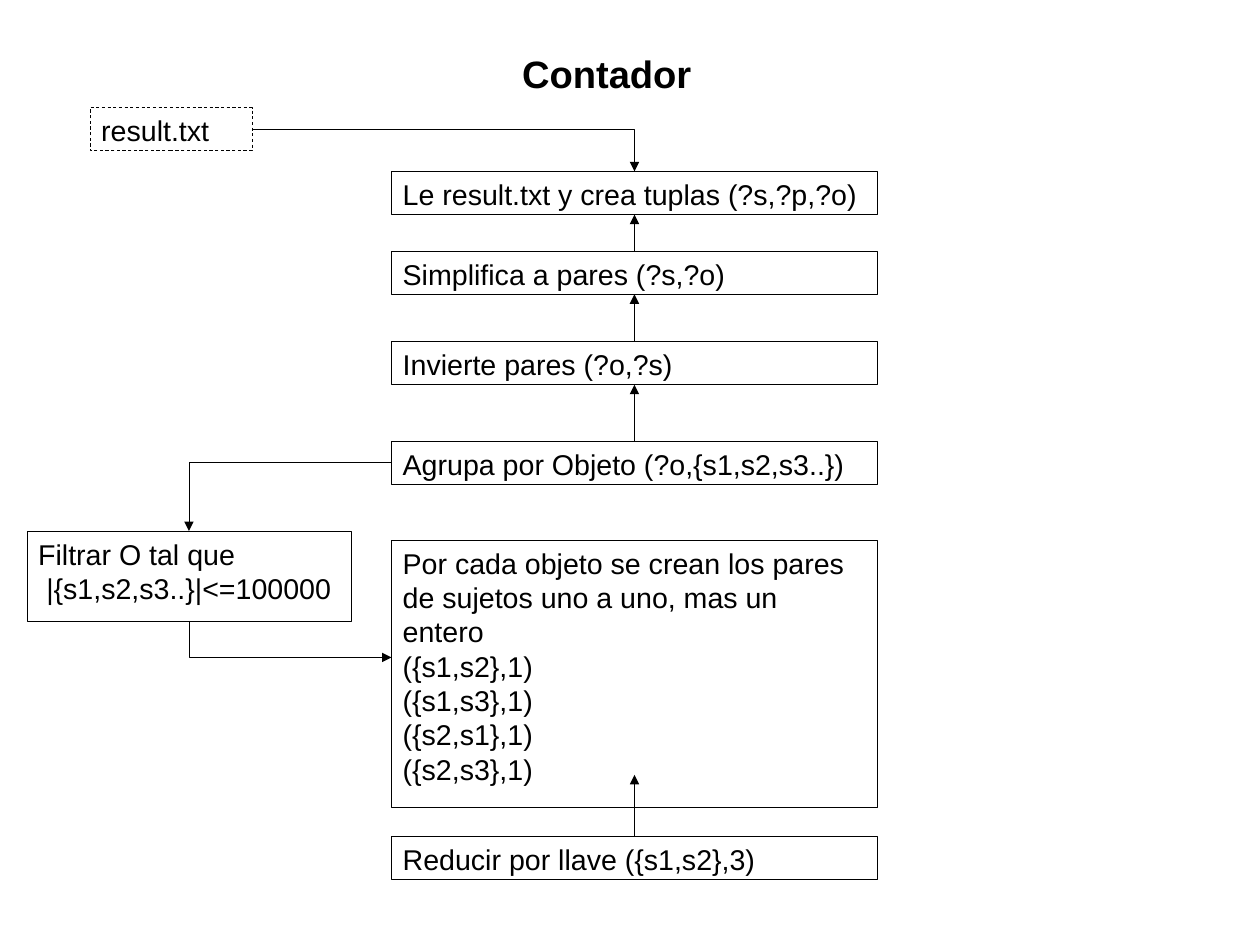
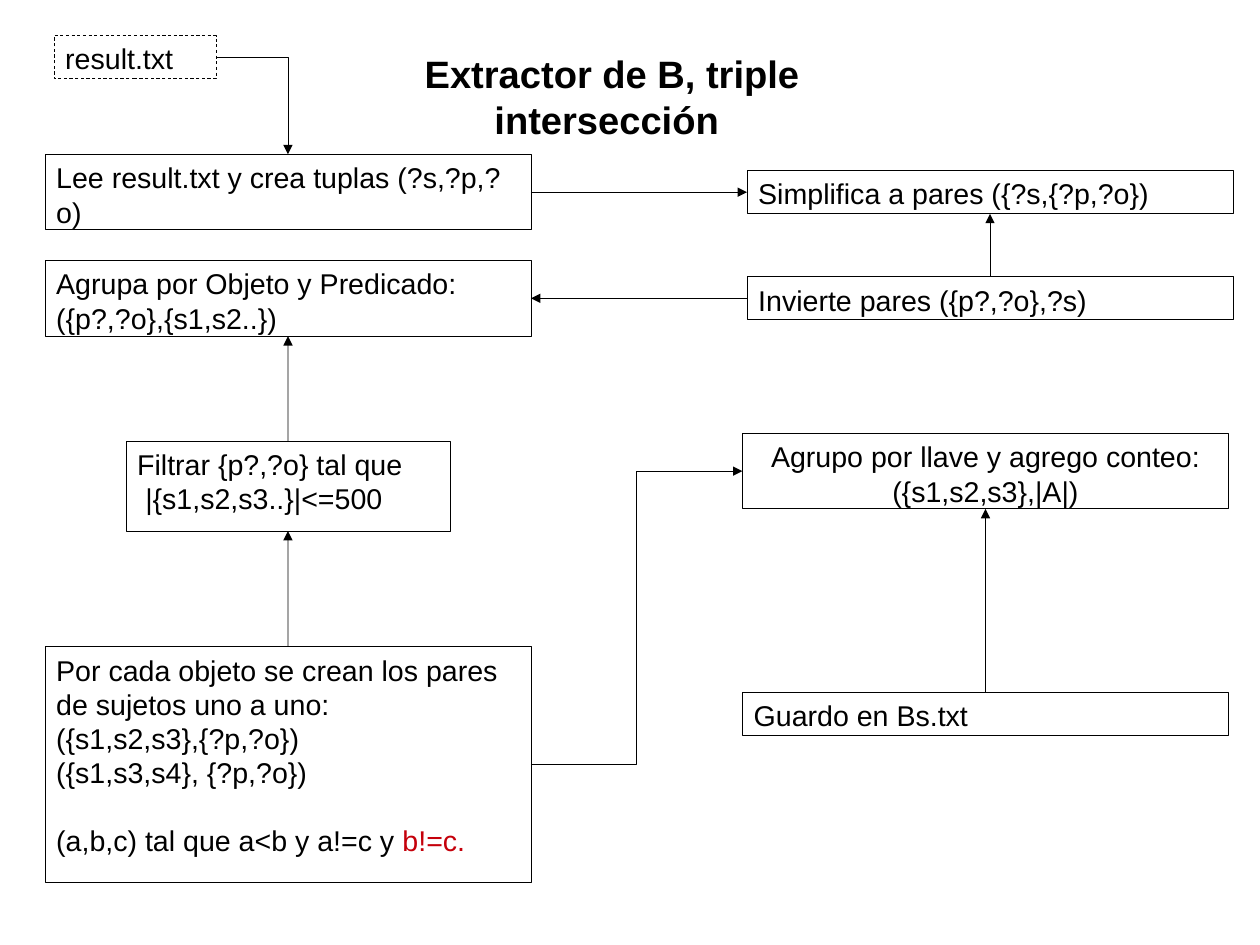
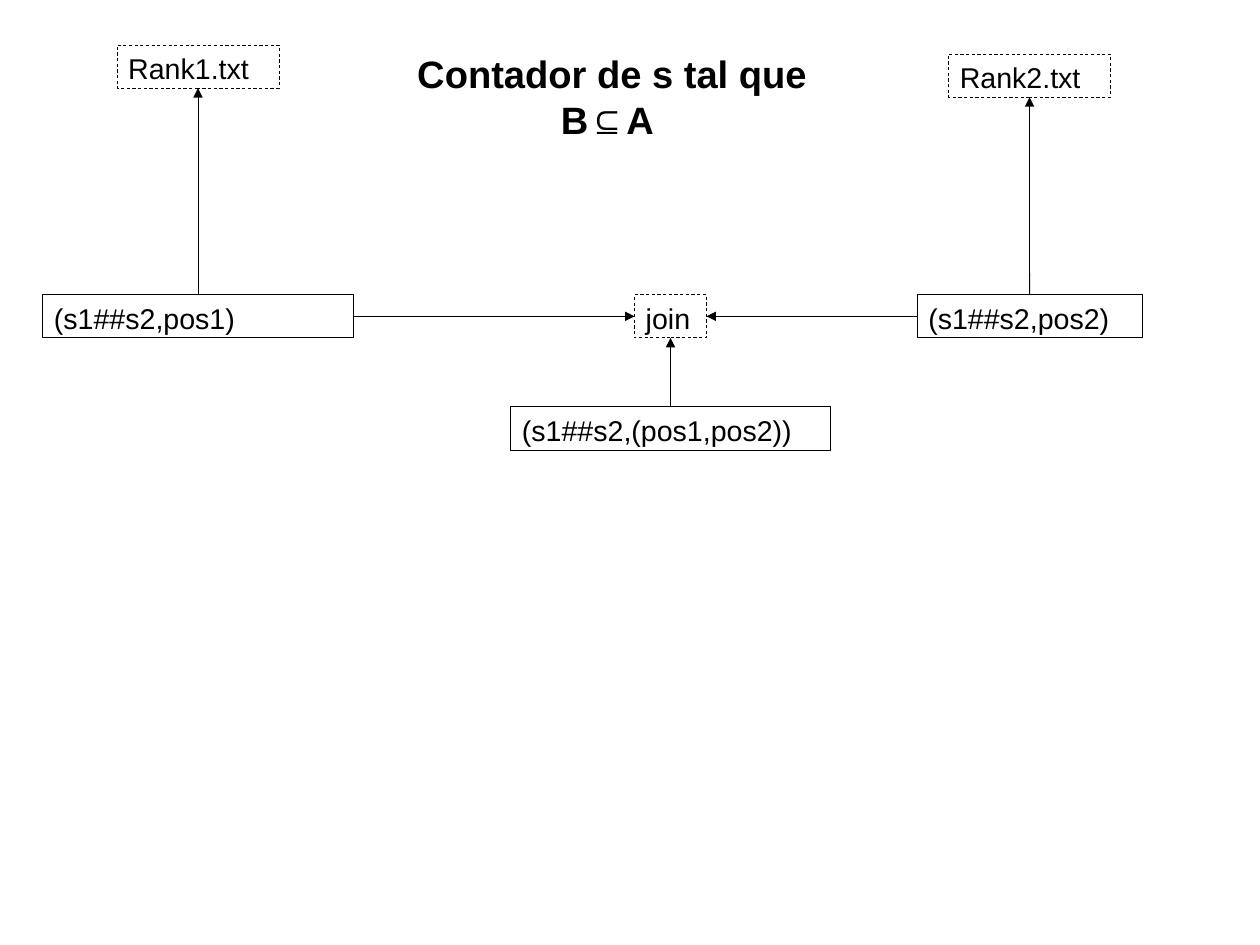
from lxml import etree
from pptx import Presentation
from pptx.dml.color import RGBColor
from pptx.enum import dml, shapes, text
from pptx.oxml import ns
from pptx.util import Cm, Pt

COLORS = {"ink": "000000", "red": "C5000B"}
FONT = "Arial"
TOP, LEFT, BOTTOM, RIGHT = range(4)
ONE, TWO = 0.96, 1.68          # heights of boxes with one and two lines, cm
WIDE, FILE, FILTER = 10.8, 3.6, 7.2  # box widths, cm
MID, COL_L, COL_R = 8.7, 1.0, 16.6   # column lefts, cm

# Boxes: name: (left, top, width, height, paragraphs), in cm.
# A paragraph is a list of (text, colour) runs, or a plain string.
# Arrows: (from, side, to, side) or, when the head is off-centre, its (x, y).
SLIDES = [
    {
        "title": "Contador ", "title_height": 1.2,
        "boxes": {
            "read": (MID, 3.81, WIDE, ONE, ["Le result.txt y crea tuplas (?s,?p,?o)"]),
            "simplify": (MID, 5.58, WIDE, ONE, ["Simplifica a pares (?s,?o)"]),
            "invert": (MID, 7.59, WIDE, ONE, ["Invierte pares (?o,?s)"]),
            "group": (MID, 9.8, WIDE, ONE, ["Agrupa por Objeto (?o,{s1,s2,s3..})"]),
            "pairs": (MID, 12.0, WIDE, 5.94, [
                "Por cada objeto se crean los pares de sujetos uno a uno, mas un entero",
                "({s1,s2},1)", "({s1,s3},1)", "({s2,s1},1)", "({s2,s3},1)"]),
            "reduce": (MID, 18.59, WIDE, ONE, ["Reducir por llave ({s1,s2},3)"]),
            "file": (2.0, 2.39, FILE, ONE, ["result.txt"]),
            "filter": (0.6, 11.8, FILTER, 2.0, ["Filtrar O tal que", "|{s1,s2,s3..}|<=100000"]),
        },
        "arrows": [
            ("simplify", TOP, "read", BOTTOM), ("invert", TOP, "simplify", BOTTOM),
            ("group", TOP, "invert", BOTTOM), ("reduce", TOP, (14.1, 17.22), BOTTOM),
            ("file", RIGHT, "read", TOP), ("group", LEFT, "filter", TOP),
            ("filter", BOTTOM, (MID, 14.61), LEFT),
        ],
    },
    {
        "title": "Extractor de B, triple intersección ", "title_height": 2.16,
        "boxes": {
            "read": (COL_L, 3.43, WIDE, TWO, ["Lee result.txt y crea tuplas (?s,?p,?o)"]),
            "simplify": (COL_R, 3.79, WIDE, ONE, ["Simplifica a pares ({?s,{?p,?o})"]),
            "invert": (COL_R, 6.15, WIDE, ONE, ["Invierte pares ({p?,?o},?s)"]),
            "group": (COL_L, 5.79, WIDE, TWO,
                      ["Agrupa por Objeto y Predicado: ({p?,?o},{s1,s2..})"]),
            "pairs": (COL_L, 14.37, WIDE, 5.23, [
                "Por cada objeto se crean los pares de sujetos uno a uno:",
                "({s1,s2,s3},{?p,?o})", "({s1,s3,s4}, {?p,?o})",
                [("(a,b,c) tal que a<b y a!=c y ", "ink"), ("b!=c.", "red")]]),
            "file": (1.2, 0.79, FILE, ONE, ["result.txt"]),
            "filter": (2.8, 9.8, FILTER, 2.0, ["Filtrar {p?,?o} tal que", "|{s1,s2,s3..}|<=500"]),
            "count": (16.5, 9.63, WIDE, TWO,
                      ["Agrupo por llave y agrego conteo: ({s1,s2,s3},|A|)"]),
            "save": (16.5, 15.39, WIDE, ONE, ["Guardo en Bs.txt"]),
        },
        "centered": ["count"],
        "arrows": [
            ("read", RIGHT, "simplify", LEFT), ("invert", TOP, "simplify", BOTTOM),
            ("invert", LEFT, "group", RIGHT), ("file", RIGHT, "read", TOP),
            ("filter", TOP, "group", BOTTOM), ("pairs", TOP, "filter", BOTTOM),
            ("pairs", RIGHT, "count", LEFT), ("save", TOP, "count", BOTTOM),
        ],
    },
    {
        "title": "Contador de s tal que B⊆A ", "title_height": 2.16,
        "boxes": {
            "pos1": (0.95, 6.55, 6.9, ONE, ["(s1##s2,pos1)"]),
            "file1": (2.6, 1.0, FILE, ONE, ["Rank1.txt"]),
            "file2": (21.08, 1.2, FILE, ONE, ["Rank2.txt"]),
            "pos2": (20.38, 6.55, 5.0, ONE, ["(s1##s2,pos2)"]),
            "join": (14.1, 6.55, 1.6, ONE, ["join"]),
            "joined": (11.35, 9.04, 7.1, ONE, ["(s1##s2,(pos1,pos2))"]),
        },
        "arrows": [
            ("pos2", TOP, "file2", BOTTOM), ("pos1", RIGHT, "join", LEFT),
            ("pos2", LEFT, "join", RIGHT), ("joined", TOP, "join", BOTTOM),
            ("pos1", TOP, "file1", BOTTOM),
        ],
    },
]
DASHED = {"file", "file1", "file2", "join"}


def style_run(r, size, color="ink", bold=False):
    r.font.name, r.font.size, r.font.bold = FONT, Pt(size), bold
    r.font.color.rgb = RGBColor.from_string(COLORS[color])


def style_frame(tf):
    tf.word_wrap = True
    tf.auto_size = text.MSO_AUTO_SIZE.NONE
    tf.vertical_anchor = text.MSO_ANCHOR.TOP
    tf.margin_left = tf.margin_right = Cm(0.25)
    tf.margin_top = tf.margin_bottom = Cm(0.13)


def style_line(line):
    line.color.rgb = RGBColor.from_string(COLORS["ink"])
    line.width = Pt(0.5)


def add_title(s, title, height):
    sp = s.shapes.title
    sp.left, sp.top, sp.width, sp.height = Cm(8), Cm(1), Cm(11.2), Cm(height)
    sp.text_frame.text = title
    style_frame(sp.text_frame)
    p = sp.text_frame.paragraphs[0]
    p.alignment = text.PP_ALIGN.CENTER
    style_run(p.runs[0], 24, bold=True)


def add_box(s, name, left, top, width, height, paragraphs, align):
    sp = s.shapes.add_shape(shapes.MSO_SHAPE.RECTANGLE,
                            Cm(left), Cm(top), Cm(width), Cm(height))
    sp.shadow.inherit = False
    sp.fill.background()
    style_line(sp.line)
    if name in DASHED:
        sp.line.dash_style = dml.MSO_LINE.DASH
    tf = sp.text_frame
    style_frame(tf)
    for i, content in enumerate(paragraphs):
        p = tf.add_paragraph() if i else tf.paragraphs[0]
        p.alignment = align
        if isinstance(content, str):
            content = [(content, "ink")]
        else:
            p.space_before = Pt(20.7)
        if name == "filter" and i:
            p._p.get_or_add_pPr().set("marL", str(Cm(0.18)))
        for words, color in content:
            r = p.add_run()
            r.text = words
            style_run(r, 18, color)
    return sp


def side_point(sp, side):
    x = sp.left + {LEFT: 0, RIGHT: sp.width}.get(side, sp.width // 2)
    y = sp.top + {TOP: 0, BOTTOM: sp.height}.get(side, sp.height // 2)
    return x, y


def add_arrow(s, boxes, start, start_side, end, end_side):
    """Draw straight when the sides line up, else with one or two corners."""
    x1, y1 = side_point(boxes[start], start_side)
    joined = isinstance(end, str)
    x2, y2 = side_point(boxes[end], end_side) if joined else map(Cm, end)
    corner = start_side % 2 != end_side % 2
    aligned = min(abs(x2 - x1), abs(y2 - y1)) < Cm(0.05)
    kind = shapes.MSO_CONNECTOR.STRAIGHT if aligned else shapes.MSO_CONNECTOR.ELBOW
    turned = corner and start_side == BOTTOM
    if turned:  # the preset starts sideways, so this one is a quarter turn of it
        cx, cy = (x1 + x2) // 2, (y1 + y2) // 2
        dx, dy = (x2 - x1) // 2, (y2 - y1) // 2
        x1, y1, x2, y2 = cx + dy, cy - dx, cx - dy, cy + dx
    c = s.shapes.add_connector(kind, x1, y1, x2, y2)
    if not turned:
        c.begin_connect(boxes[start], start_side)
        if joined:
            c.end_connect(boxes[end], end_side)
    props = c._element.spPr
    if corner:
        props.find(ns.qn("a:prstGeom")).set("prst", "bentConnector2")
    if turned:
        props.find(ns.qn("a:xfrm")).set("rot", str(270 * 60000))
    style_line(c.line)
    etree.SubElement(c.line._get_or_add_ln(), ns.qn("a:tailEnd"), type="triangle")
    etree.SubElement(props, ns.qn("a:effectLst"))


def main():
    prs = Presentation()
    prs.slide_width, prs.slide_height = Cm(28), Cm(21)
    for content in SLIDES:
        s = prs.slides.add_slide(prs.slide_layouts.get_by_name("Title Only"))
        add_title(s, content["title"], content["title_height"])
        boxes = {}
        for name, box in content["boxes"].items():
            centered = name in content.get("centered", [])
            align = text.PP_ALIGN.CENTER if centered else text.PP_ALIGN.LEFT
            boxes[name] = add_box(s, name, *box, align)
        for arrow in content["arrows"]:
            add_arrow(s, boxes, *arrow)
    prs.save("out.pptx")


if __name__ == "__main__":
    main()
